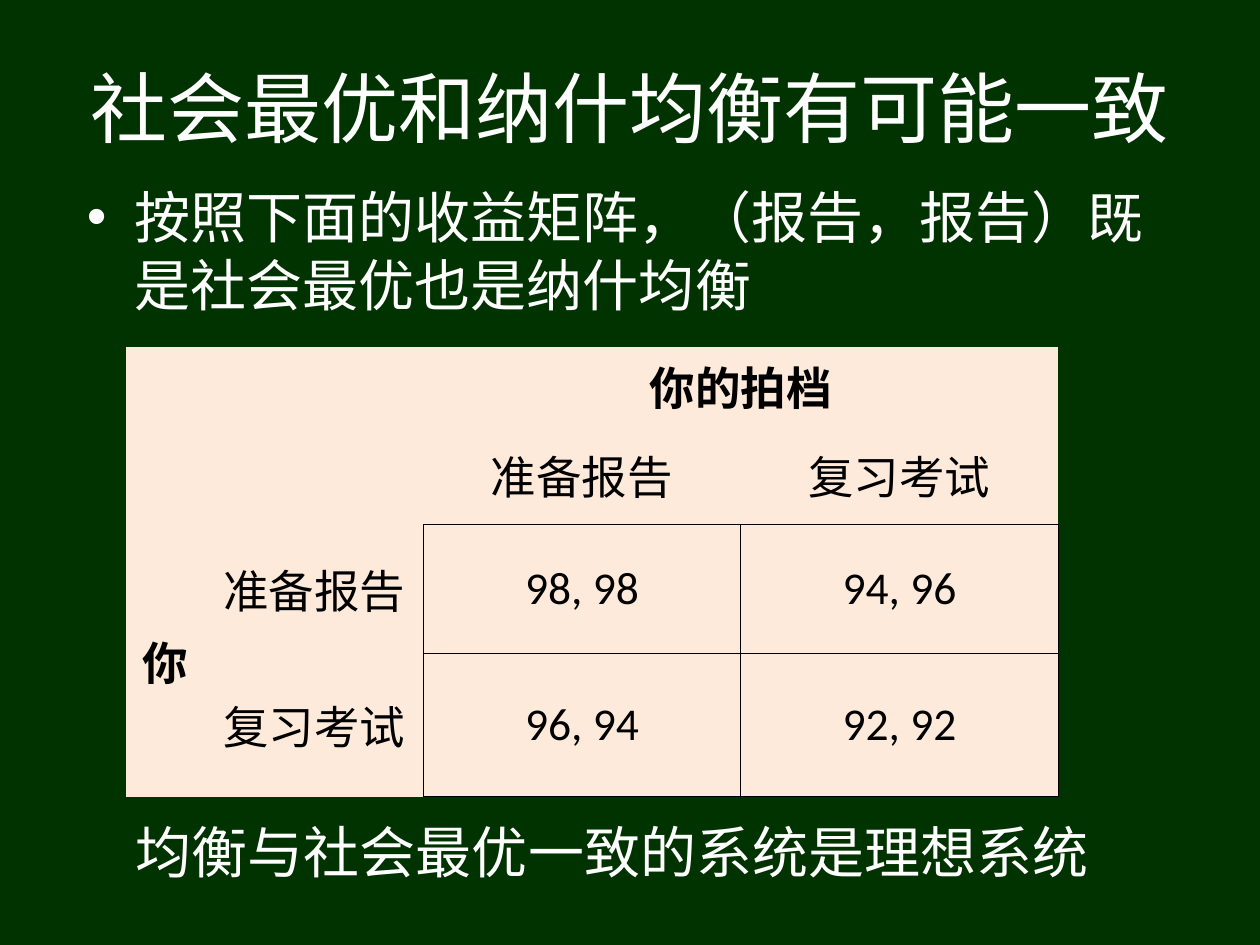
from dataclasses import dataclass

from lxml.etree import SubElement
from pptx import Presentation
from pptx.dml.color import RGBColor
from pptx.enum.text import MSO_ANCHOR, MSO_AUTO_SIZE, PP_ALIGN
from pptx.oxml.ns import qn
from pptx.util import Inches, Pt


@dataclass(frozen=True)
class Theme:
    background: RGBColor = RGBColor(0x00, 0x33, 0x00)
    text: RGBColor = RGBColor(0xFF, 0xFF, 0xFF)
    cell_fill: RGBColor = RGBColor(0xFD, 0xEA, 0xDA)
    cell_text: RGBColor = RGBColor(0x00, 0x00, 0x00)
    border: str = "000000"
    border_width: float = 0.45
    chinese: str = "Noto Sans CJK SC"
    latin: str = "Calibri"
    title_size: int = 44
    body_size: int = 32
    body_leading: int = 39
    cell_size: int = 26


class SlideBuilder:
    """Holds the theme and the slide being filled."""

    def __init__(self, slide, theme):
        self.slide = slide
        self.theme = theme
        slide.background.fill.solid()
        slide.background.fill.fore_color.rgb = theme.background

    def add_run(self, paragraph, text, size, color, font_name, bold=False):
        run = paragraph.add_run()
        run.text = text
        run.font.size = Pt(size)
        run.font.bold = bold
        run.font.color.rgb = color
        run.font.name = font_name
        east_asian = SubElement(run.font._element, qn("a:ea"))
        east_asian.set("typeface", self.theme.chinese)

    def place(self, shape, left, top, width, height):
        shape.left, shape.top = Inches(left), Inches(top)
        shape.width, shape.height = Inches(width), Inches(height)

    def title(self, text, *box):
        heading = self.slide.shapes.title
        self.place(heading, *box)
        frame = heading.text_frame
        frame.auto_size = MSO_AUTO_SIZE.NONE
        frame.vertical_anchor = MSO_ANCHOR.MIDDLE
        paragraph = frame.paragraphs[0]
        paragraph.alignment = PP_ALIGN.CENTER
        self.add_run(paragraph, text, self.theme.title_size,
                     self.theme.text, self.theme.chinese)

    def bullet(self, text, *box):
        body = self.slide.placeholders[1]
        self.place(body, *box)
        body.text_frame.auto_size = MSO_AUTO_SIZE.NONE
        paragraph = body.text_frame.paragraphs[0]
        properties = paragraph._p.get_or_add_pPr()
        properties.set("marL", str(Inches(0.38)))
        properties.set("indent", str(Inches(-0.38)))
        SubElement(properties, qn("a:buChar")).set("char", "•")
        self.write_statement(paragraph, text)

    def statement(self, text, *box):
        note = self.slide.shapes.add_textbox(*map(Inches, box))
        note.text_frame.word_wrap = True
        note.text_frame.auto_size = MSO_AUTO_SIZE.SHAPE_TO_FIT_TEXT
        self.write_statement(note.text_frame.paragraphs[0], text)

    def write_statement(self, paragraph, text):
        paragraph.space_before = Pt(0)
        paragraph.line_spacing = Pt(self.theme.body_leading)
        self.add_run(paragraph, text, self.theme.body_size,
                     self.theme.text, self.theme.chinese)

    def payoff_matrix(self, rows, headings, left, top, widths, heights):
        """Draw a two-player game; payoffs fill the lower right 2 by 2 block."""
        matrix = self.slide.shapes.add_table(
            len(heights), len(widths), Inches(left), Inches(top),
            Inches(sum(widths)), Inches(sum(heights))).table
        matrix.first_row = matrix.horz_banding = False
        for column, width in zip(matrix.columns, widths):
            column.width = Inches(width)
        for row, height in zip(matrix.rows, heights):
            row.height = Inches(height)
        matrix.cell(0, 2).merge(matrix.cell(0, 3))
        matrix.cell(2, 0).merge(matrix.cell(3, 0))
        for r, texts in enumerate(rows):
            for c, text in enumerate(texts):
                cell = matrix.cell(r, c)
                self.border_cell(cell, r, c)
                cell.fill.solid()
                cell.fill.fore_color.rgb = self.theme.cell_fill
                if text:
                    self.write_cell(cell, text, text in headings)

    def border_cell(self, cell, r, c):
        payoff = r >= 2 and c >= 2
        ruled = {
            "a:lnL": payoff,
            "a:lnR": payoff or (r >= 2 and c == 1),
            "a:lnT": payoff,
            "a:lnB": payoff or (r == 1 and c >= 2),
        }
        properties = cell._tc.get_or_add_tcPr()
        for tag, visible in ruled.items():
            line = SubElement(properties, qn(tag))
            if visible:
                line.set("w", str(Pt(self.theme.border_width)))
                fill = SubElement(line, qn("a:solidFill"))
                SubElement(fill, qn("a:srgbClr")).set("val", self.theme.border)
            else:
                SubElement(line, qn("a:noFill"))

    def write_cell(self, cell, text, bold):
        cell.vertical_anchor = MSO_ANCHOR.MIDDLE
        paragraph = cell.text_frame.paragraphs[0]
        paragraph.alignment = PP_ALIGN.CENTER
        self.add_run(paragraph, text, self.theme.cell_size,
                     self.theme.cell_text, self.theme.latin, bold)


def main():
    presentation = Presentation()
    presentation.slide_width = Inches(10)
    presentation.slide_height = Inches(7.5)
    slide = presentation.slides.add_slide(presentation.slide_layouts[1])
    builder = SlideBuilder(slide, Theme())

    builder.title("社会最优和纳什均衡有可能一致", 0.5, 0.3, 9, 1.09)
    builder.bullet("按照下面的收益矩阵，（报告，报告）既是社会最优也是纳什均衡",
                   0.59, 1.39, 9, 5.04)

    you, partner = "你", "你的拍档"
    report, exam = "准备报告", "复习考试"
    builder.payoff_matrix(
        rows=[
            ["", "", partner, ""],
            ["", "", report, exam],
            [you, report, "98, 98", "94, 96"],
            ["", exam, "96, 94", "92, 92"],
        ],
        headings=(you, partner),
        left=1, top=2.75,
        widths=[0.63, 1.73, 2.52, 2.52],
        heights=[0.55, 0.79, 1.02, 1.14],
    )
    builder.statement("均衡与社会最优一致的系统是理想系统", 0.98, 6.43, 8.11, 0.64)
    presentation.save("out.pptx")


if __name__ == "__main__":
    main()
